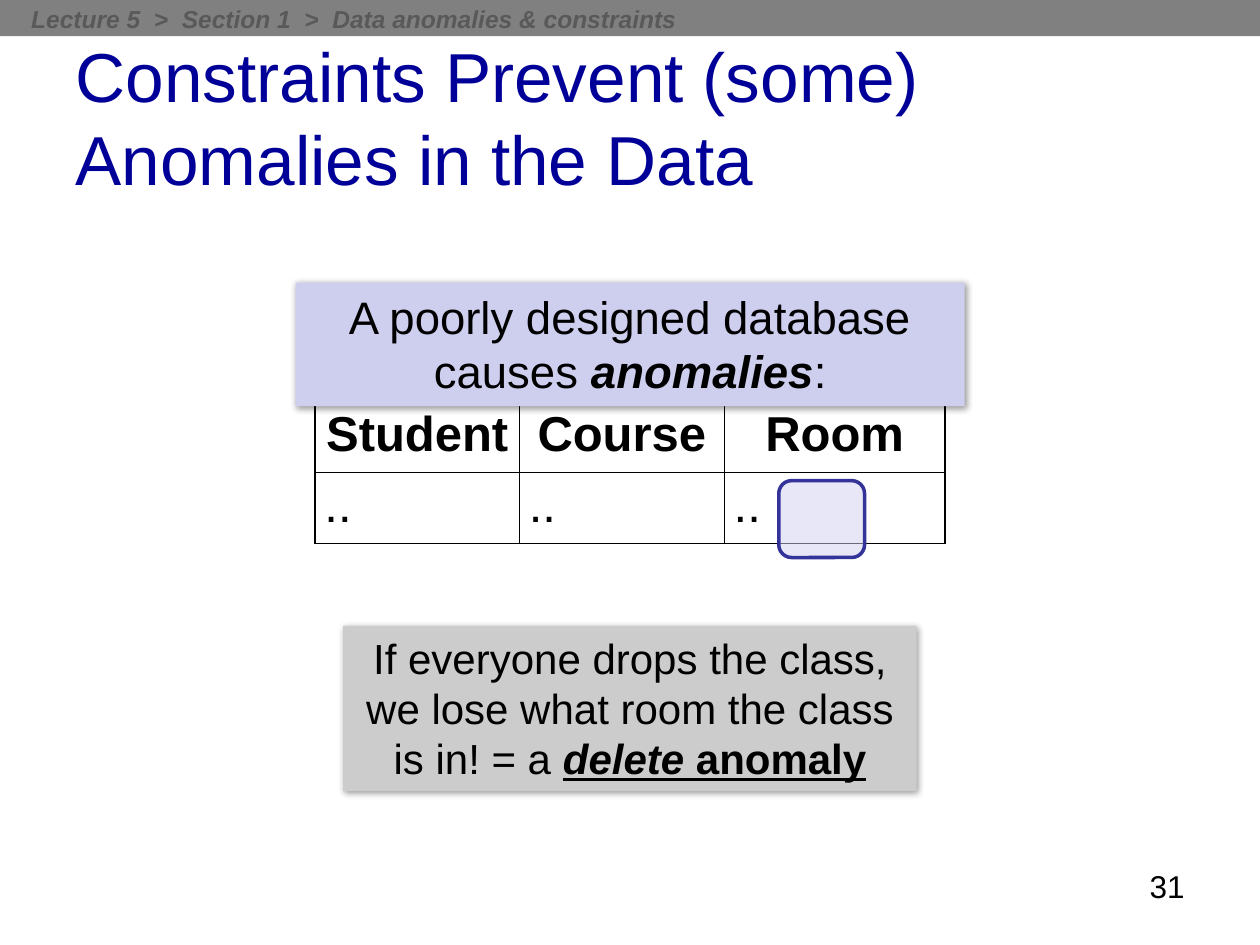
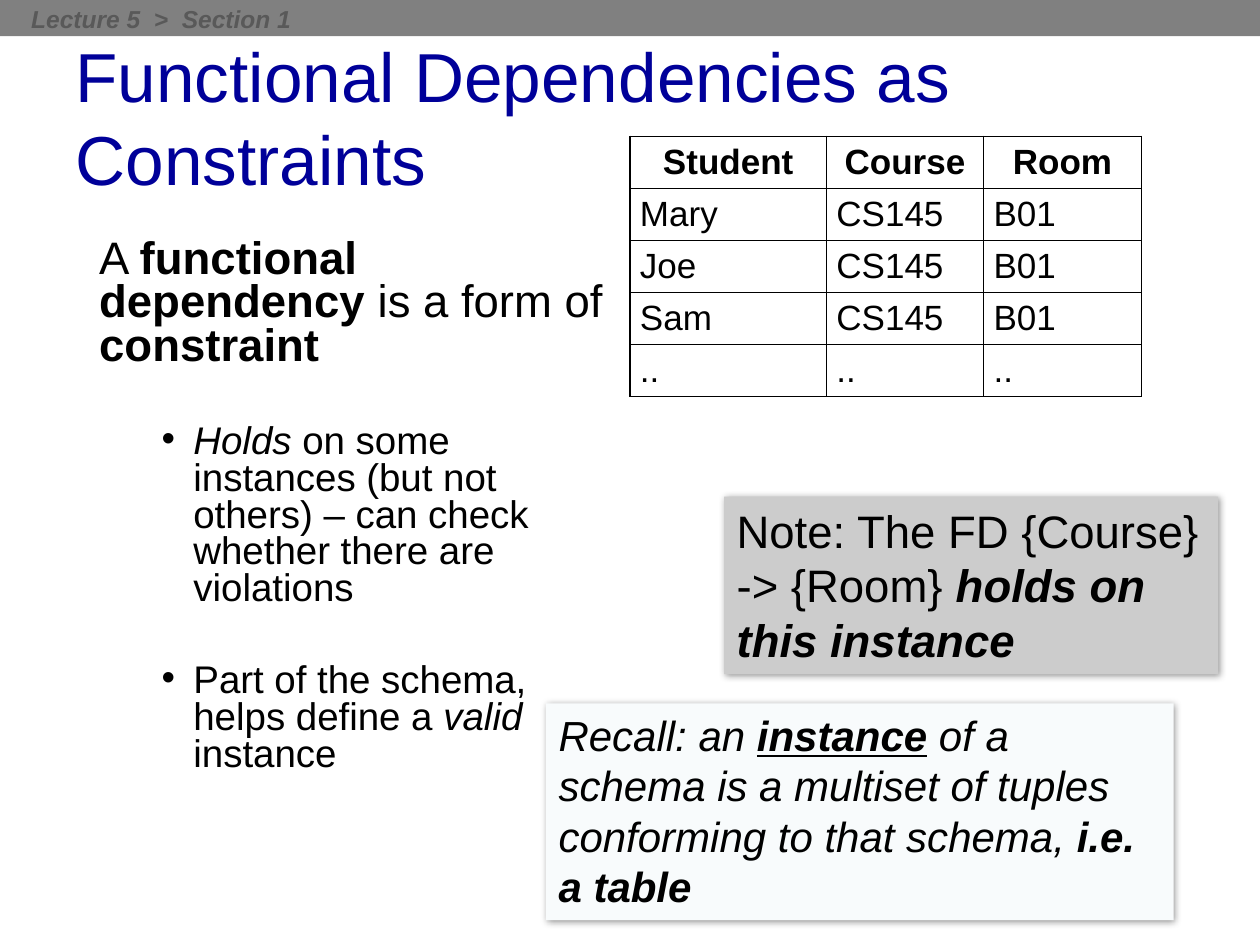
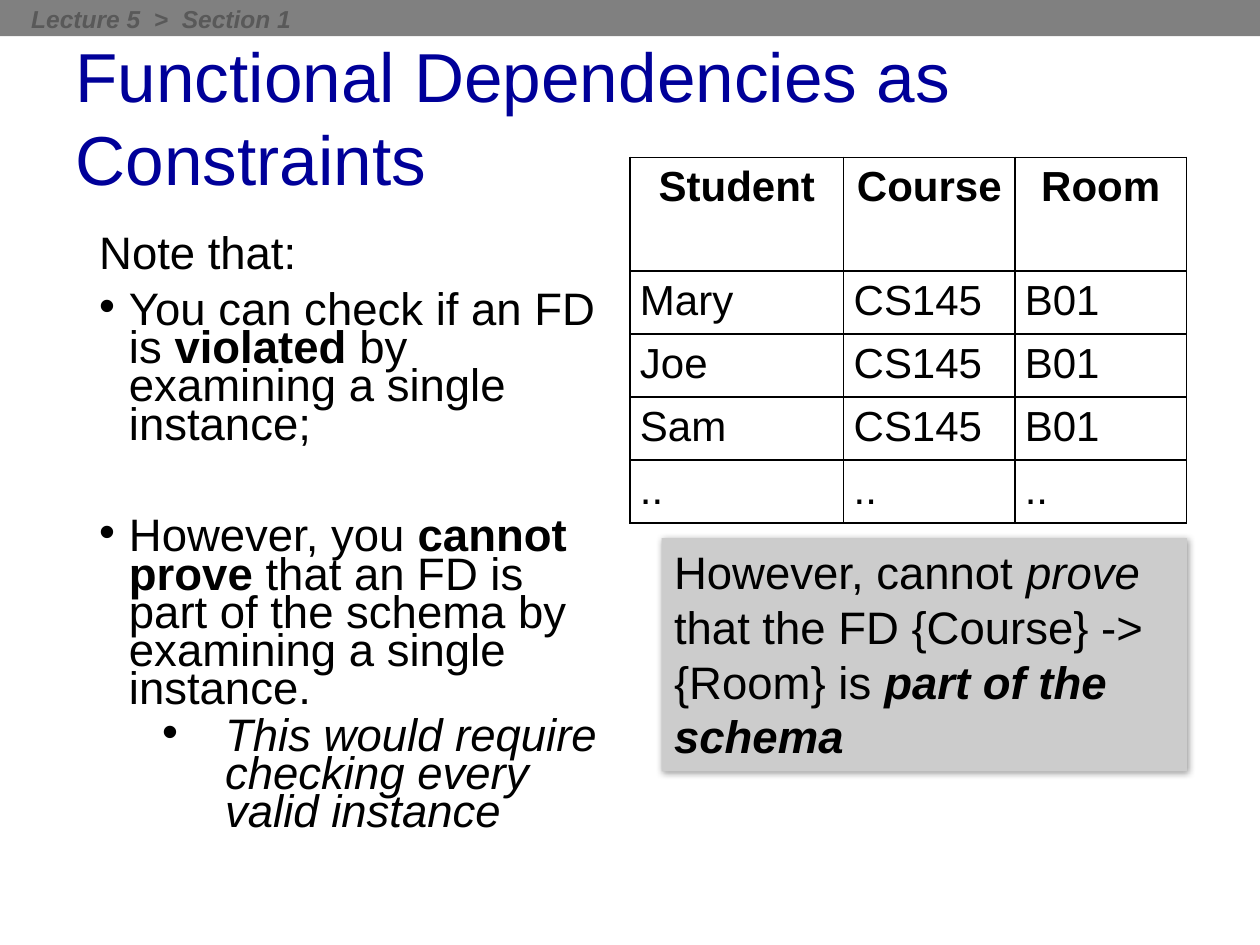
from lxml import etree
from pptx import Presentation
from pptx.dml.color import RGBColor
from pptx.enum.shapes import MSO_SHAPE
from pptx.enum.text import MSO_ANCHOR, MSO_AUTO_SIZE, PP_ALIGN
from pptx.oxml import parse_xml
from pptx.oxml.ns import nsdecls, qn
from pptx.util import Cm, Pt

LEFT, CENTER, RIGHT = PP_ALIGN.LEFT, PP_ALIGN.CENTER, PP_ALIGN.RIGHT
TOP, MIDDLE = MSO_ANCHOR.TOP, MSO_ANCHOR.MIDDLE
GROW, FIXED = MSO_AUTO_SIZE.SHAPE_TO_FIT_TEXT, MSO_AUTO_SIZE.NONE
RECT, ROUND_RECT = MSO_SHAPE.RECTANGLE, MSO_SHAPE.ROUNDED_RECTANGLE

BLACK = RGBColor(0x00, 0x00, 0x00)
NAVY = RGBColor(0x00, 0x00, 0x99)
INDIGO = RGBColor(0x33, 0x33, 0x99)
LAVENDER = RGBColor(0xCE, 0xCE, 0xEF)
PALE_LAVENDER = RGBColor(0xD1, 0xD1, 0xF0)
ICE = RGBColor(0xF8, 0xFB, 0xFC)
SILVER = RGBColor(0xCC, 0xCC, 0xCC)
BAND_GRAY = RGBColor(0x80, 0x80, 0x80)
CRUMB_GRAY = RGBColor(0x59, 0x59, 0x59)

FONT = "Arial"
STYLES = {"b": "bold", "i": "italic", "u": "underline"}
HEADER = ["Student", "Course", "Room"]
ROOMS = [HEADER] + [[name, "CS145", "B01"] for name in ("Mary", "Joe", "Sam")] + [[".."] * 3]

SHADOW = (
    f'<a:effectLst {nsdecls("a")}><a:outerShdw blurRad="50800" dist="12700" dir="2700000" '
    'algn="tl" rotWithShape="0"><a:srgbClr val="000000"><a:alpha val="40000"/>'
    '</a:srgbClr></a:outerShdw></a:effectLst>'
)
BORDER = (
    '<a:{tag} ' + nsdecls("a") + ' w="12700"><a:solidFill><a:srgbClr val="{color}"/>'
    '</a:solidFill></a:{tag}>'
)


def apply(obj, values):
    """Set each attribute named in a dict."""
    for name, value in values.items():
        setattr(obj, name, value)


def box(left, top, width, height):
    """Return a frame in centimetres as lengths."""
    return Cm(left), Cm(top), Cm(width), Cm(height)


class Deck:
    """Lecture style together with the slide being built."""

    def __init__(self):
        """Open an empty 4:3 presentation."""
        self.prs = Presentation()
        apply(self.prs, {"slide_width": Cm(25.4), "slide_height": Cm(19.05)})
        self.slide = None

    def font(self, r, size, color=BLACK, style=""):
        """Format a run; style holds letters from b, i and u."""
        apply(r.font, {"name": FONT, "size": Pt(size)})
        apply(r.font, {STYLES[key]: True for key in style})
        r.font.color.rgb = color

    def runs(self, p, parts, size, color=BLACK):
        """Add (text, style) runs to a paragraph."""
        for text, style in parts:
            r = p.add_run()
            r.text = text
            self.font(r, size, color, style)

    def new_slide(self, title):
        """Start a title-only slide."""
        self.slide = self.prs.slides.add_slide(self.prs.slide_layouts[5])
        sp = self.slide.shapes.title
        sp.left, sp.top, sp.width, sp.height = box(1.27, 0.76, 22.86, 3.18)
        tf = sp.text_frame
        apply(tf, {"word_wrap": True, "auto_size": FIXED, "vertical_anchor": MIDDLE})
        p = tf.paragraphs[0]
        apply(p, {"text": title, "alignment": LEFT})
        for r in p.runs:
            self.font(r, 39.6, NAVY)

    def shape(self, shapes, kind, frame, fill):
        """Add a plain filled shape without line or shadow to a shape tree."""
        sp = shapes.add_shape(kind, *box(*frame))
        sp.shadow.inherit = False
        sp.fill.solid()
        sp.fill.fore_color.rgb = fill
        sp.line.fill.background()
        return sp

    def band(self, *crumbs):
        """Add the grey top band with its breadcrumb."""
        shapes = self.slide.shapes.add_group_shape().shapes
        self.shape(shapes, RECT, (0, 0, 25.4, 0.73), BAND_GRAY)
        width = 13.56 if len(crumbs) > 2 else 5.77
        tf = shapes.add_textbox(*box(0.38, -0.05, width, 0.86)).text_frame
        apply(tf, {"word_wrap": False, "auto_size": GROW})
        self.runs(tf.paragraphs[0], [("  >  ".join(crumbs), "bi")], 14, CRUMB_GRAY)

    def callout(self, frame, fill, size, parts, align=LEFT):
        """Add a shadowed box with one paragraph."""
        sp = self.shape(self.slide.shapes, RECT, frame, fill)
        props = sp.fill._xPr
        props.replace(props.find(qn("a:effectLst")), parse_xml(SHADOW))
        tf = sp.text_frame
        apply(tf, {"word_wrap": True, "auto_size": GROW, "vertical_anchor": TOP})
        tf.paragraphs[0].alignment = align
        self.runs(tf.paragraphs[0], parts, size)

    def highlight(self, frame):
        """Add a half-transparent rounded marker."""
        sp = self.shape(self.slide.shapes, ROUND_RECT, frame, PALE_LAVENDER)
        color = sp.fill._xPr.find(qn("a:solidFill"))[0]
        etree.SubElement(color, qn("a:alpha")).set("val", "50000")
        sp.line.color.rgb = INDIGO
        sp.line.width = Pt(2)

    def table(self, left, top, widths, heights, rows, size, margin=0.2):
        """Add a bordered table with a bold, centred header."""
        frame = box(left, top, sum(widths), sum(heights))
        tbl = self.slide.shapes.add_table(len(rows), len(widths), *frame).table
        apply(tbl, {"first_row": False, "horz_banding": False})
        for col, width in zip(tbl.columns, widths):
            col.width = Cm(width)
        for i, (row, height) in enumerate(zip(rows, heights)):
            tbl.rows[i].height = Cm(height)
            for j, text in enumerate(row):
                cell = tbl.cell(i, j)
                apply(cell, {"margin_left": Cm(margin), "margin_right": Cm(margin),
                             "margin_top": Cm(0.13), "margin_bottom": Cm(0.13)})
                p = cell.text_frame.paragraphs[0]
                p.alignment = LEFT if i else CENTER
                self.runs(p, [(text, "" if i else "b")], size)
                self.cell_borders(cell)

    def cell_borders(self, cell):
        """Draw four thin black borders and clear the fill."""
        props = cell._tc.get_or_add_tcPr()
        for tag in ("lnL", "lnR", "lnT", "lnB"):
            props.append(parse_xml(BORDER.format(tag=tag, color=BLACK)))
        cell.fill.background()

    def body(self, height, spacing, paragraphs):
        """Add the left text; each item is (parts, size, before, level, margin, hang)."""
        tf = self.slide.shapes.add_textbox(*box(1.75, 4.7, 10.87, height)).text_frame
        tf.word_wrap = True
        for i, (parts, size, before, level, margin, hang) in enumerate(paragraphs):
            p = tf.add_paragraph() if i else tf.paragraphs[0]
            apply(p, {"line_spacing": spacing, "space_before": Pt(before), "level": level})
            if hang:
                props = p._p.get_or_add_pPr()
                props.set("marL", str(Cm(margin)))
                props.set("indent", str(-Cm(hang)))
                etree.SubElement(props, qn("a:buFont")).set("typeface", FONT)
                etree.SubElement(props, qn("a:buChar")).set("char", "•")
            self.runs(p, parts, size)

    def page_number(self, number):
        """Add the page number at the lower right."""
        tf = self.slide.shapes.add_textbox(*box(18.21, 17.35, 5.92, 1.32)).text_frame
        tf.word_wrap = True
        tf.paragraphs[0].alignment = RIGHT
        self.runs(tf.paragraphs[0], [(str(number), "")], 18)


def anomalies_slide(deck):
    """Build the slide on the delete anomaly."""
    deck.new_slide("Constraints Prevent (some) \vAnomalies in the Data")
    deck.table(6.35, 8.08, [4.12, 4.13, 4.45], [1.44] * 2, [HEADER, [".."] * 3], 28, 0.19)
    deck.callout((6.92, 12.62, 11.56, 3.33), SILVER, 24, [
        ("If everyone drops the class, we lose what room the class is in! = a ", ""),
        ("delete", "biu"), (" anomaly", "bu")], CENTER)
    deck.callout((5.96, 5.7, 13.49, 2.49), LAVENDER, 26, [
        ("A poorly designed database causes ", ""), ("anomalies", "bi"), (":", "")], CENTER)
    deck.highlight((15.7, 9.69, 1.73, 1.55))
    deck.band("Lecture 5", "Section 1", "Data anomalies & constraints")
    deck.page_number(31)


def dependency_slide(deck):
    """Build the slide that defines functional dependencies."""
    deck.new_slide("Functional Dependencies as Constraints")
    deck.table(12.7, 2.75, [3.96, 3.17, 3.18], [1.04] * 5, ROOMS, 20)
    deck.callout((14.6, 10.01, 9.96, 3.58), SILVER, 26, [
        ("Note: The FD {Course} -> {Room} ", ""), ("holds on this instance", "bi")])
    deck.body(11.13, 0.8, [
        ([("A ", ""), ("functional dependency ", "b"), ("is a form of ", ""),
          ("constraint ", "b")], 26, 10, 0, 0, 0),
        ([("Holds", "i"), (" on some instances (but not others) – can check whether "
                           "there are violations", "")], 22, 31, 1, 1.9, 0.64),
        ([("Part of the schema, helps define a ", ""), ("valid", "i"),
          (" instance", "")], 22, 31, 1, 1.9, 0.64)])
    deck.band("Lecture 5", "Section 1")
    deck.callout((11.01, 14.18, 12.65, 4.37), ICE, 24, [
        ("Recall: an ", "i"), ("instance", "biu"),
        (" of a schema is a multiset of tuples conforming to that schema, ", "i"),
        ("i.e. a table", "bi")])


def checking_slide(deck):
    """Build the slide on what one instance can show."""
    deck.new_slide("Functional Dependencies as Constraints")
    deck.table(12.7, 3.17, [4.31, 3.45, 3.46], [2.29] + [1.27] * 4, ROOMS, 24)
    deck.callout((13.34, 10.85, 10.59, 4.7), SILVER, 26, [
        ("However, cannot ", ""), ("prove ", "i"),
        ("that the FD {Course} -> {Room} is ", ""), ("part of the schema", "bi")])
    deck.body(13.08, 0.7, [
        ([("Note that:", "")], 26, 10, 0, 0, 0),
        ([("You can check if an FD is ", ""), ("violated", "b"),
          (" by examining a single instance;", "")], 26, 10, 0, 0.6, 0.6),
        ([("However, you ", ""), ("cannot prove", "b"),
          (" that an FD is part of the schema by examining a single instance. ", "")],
         26, 42, 0, 0.6, 0.6),
        ([("This would require checking every valid instance", "i")], 26, 5, 1, 2.54, 1.27)])
    deck.band("Lecture 5", "Section 1")


deck = Deck()
for build in (anomalies_slide, dependency_slide, checking_slide):
    build(deck)
deck.prs.save("out.pptx")
